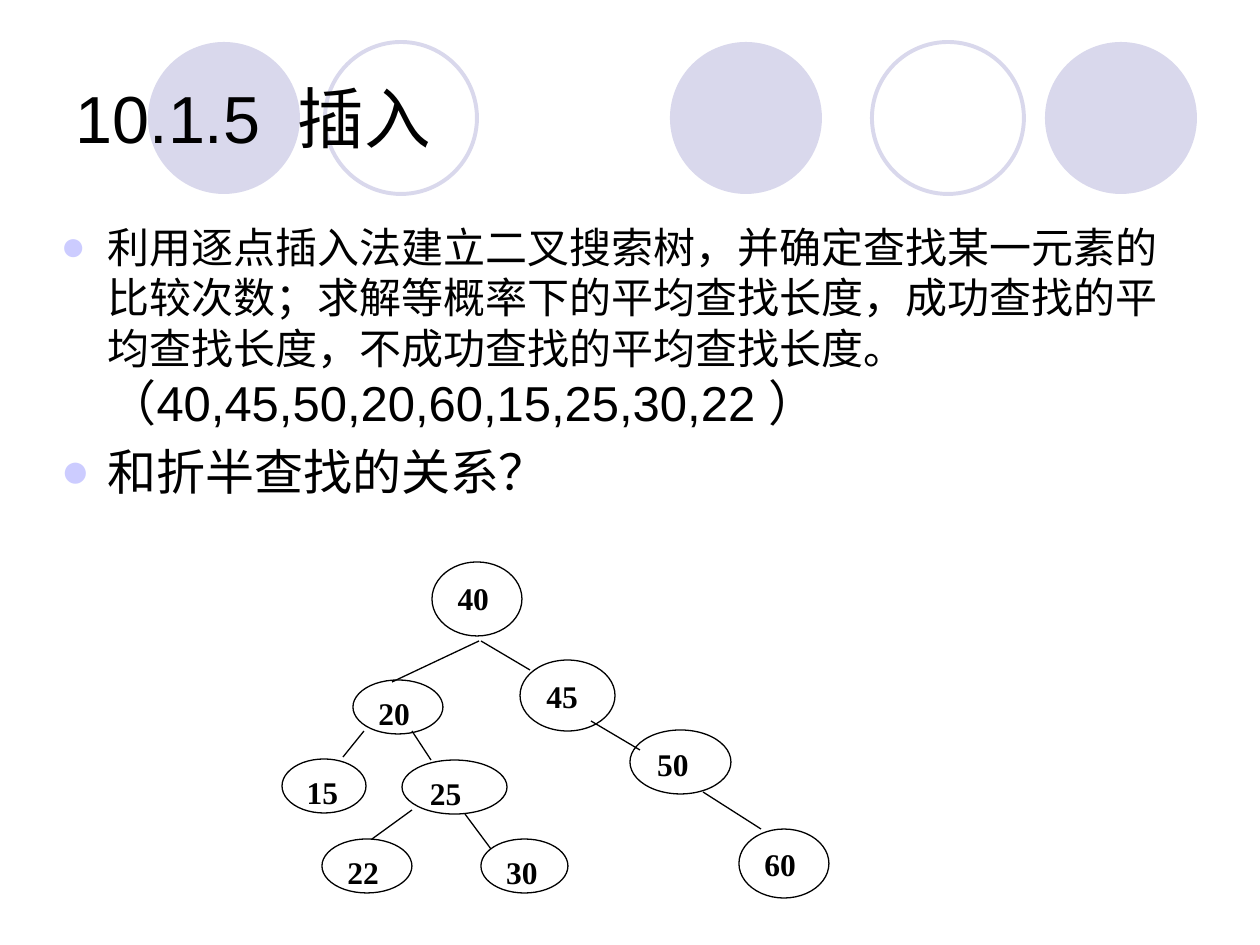
import dataclasses

import lxml.etree
import pptx
import pptx.dml.color
import pptx.enum.lang
import pptx.enum.shapes
import pptx.enum.text
import pptx.oxml.ns
import pptx.util

PX_PER_INCH = 126
Oval = pptx.enum.shapes.MSO_SHAPE.OVAL
Anchor = pptx.enum.text.MSO_ANCHOR


@dataclasses.dataclass(frozen=True)
class Theme:
    ink: str = "000000"
    paper: str = "FFFFFF"
    circle: str = "D9D8EC"
    bullet: str = "CCCCFF"
    sans: str = "Arial"
    serif: str = "Times New Roman"
    title: int = 38
    small_body: int = 24
    body: int = 28
    node: int = 18
    thin: float = 0.75
    ring: float = 2.25


THEME = Theme()

CIRCLE_SIZE = 152
FILLED_CIRCLES = (107, 629, 1004)
RING_CIRCLES = (284, 831)

TITLE = "10.1.5  插入"
BODY = (
    (
        ("利用逐点插入法建立二叉搜索树，并确定查找某一元素的比较次数；"
         "求解等概率下的平均查找长度，成功查找的平均查找长度，"
         "不成功查找的平均查找长度。", THEME.small_body),
        ("（40,45,50,20,60,15,25,30,22 ）", THEME.body),
    ),
    (("和折半查找的关系？", THEME.body),),
)

# key: left, top, width, height within the tree box
NODES = {
    40: (150, 0, 90, 74),
    20: (71, 118, 90, 54),
    45: (238, 98, 95, 71),
    15: (0, 197, 84, 54),
    25: (120, 198, 105, 54),
    50: (348, 168, 101, 64),
    22: (40, 277, 90, 54),
    30: (199, 277, 87, 54),
    60: (457, 267, 90, 69),
}
# (parent, child): start x, start y, end x, end y within the tree box
EDGES = {
    (40, 20): (197, 79, 110, 120),
    (40, 45): (199, 79, 248, 108),
    (20, 15): (82, 169, 61, 195),
    (20, 25): (130, 169, 149, 198),
    (45, 50): (309, 159, 358, 188),
    (25, 22): (130, 248, 90, 277),
    (25, 30): (183, 252, 209, 287),
    (50, 60): (421, 230, 479, 267),
}


def px(*lengths):
    return [round(length * 914400 / PX_PER_INCH) for length in lengths]


def rgb(value):
    return pptx.dml.color.RGBColor.from_string(value)


def set_values(target, values):
    for name, value in values.items():
        setattr(target, name, value)


def add_span(para, text, size, font, bold=False):
    span = para.add_run()
    span.text = text
    set_values(span.font, {
        "name": font,
        "size": pptx.util.Pt(size),
        "bold": bold,
        "language_id": pptx.enum.lang.MSO_LANGUAGE_ID.SIMPLIFIED_CHINESE,
    })
    span.font.color.rgb = rgb(THEME.ink)


def add_oval(page, box, fill=None, line=None, width=THEME.thin):
    oval = page.shapes.add_shape(Oval, *px(*box))
    oval.shadow.inherit = False
    if fill:
        oval.fill.solid()
        oval.fill.fore_color.rgb = rgb(fill)
    else:
        oval.fill.background()
    if line:
        oval.line.color.rgb = rgb(line)
        oval.line.width = pptx.util.Pt(width)
    else:
        oval.line.fill.background()
    return oval


def add_circles(page, left, top):
    for x in FILLED_CIRCLES:
        add_oval(page, (left + x, top, CIRCLE_SIZE, CIRCLE_SIZE), fill=THEME.circle)
    for x in RING_CIRCLES:
        add_oval(page, (left + x, top, CIRCLE_SIZE, CIRCLE_SIZE),
                 line=THEME.circle, width=THEME.ring)


def place_placeholder(holder, box, anchor):
    """Move a placeholder to the box and in front of everything drawn so far."""
    set_values(holder, dict(zip(("left", "top", "width", "height"), px(*box))))
    set_values(holder.text_frame, {
        "word_wrap": True,
        "auto_size": pptx.enum.text.MSO_AUTO_SIZE.NONE,
        "vertical_anchor": anchor,
    })
    holder.element.getparent().append(holder.element)
    return holder.text_frame


def fill_title(page, box):
    para = place_placeholder(page.shapes.title, box, Anchor.MIDDLE).paragraphs[0]
    para.alignment = pptx.enum.text.PP_ALIGN.LEFT
    add_span(para, TITLE, THEME.title, THEME.sans)


def add_bullet(para, indent):
    properties = para._p.get_or_add_pPr()
    properties.set("marL", str(indent))
    properties.set("indent", str(-indent))
    qn = pptx.oxml.ns.qn
    color = lxml.etree.SubElement(properties, qn("a:buClr"))
    lxml.etree.SubElement(color, qn("a:srgbClr"), val=THEME.bullet)
    lxml.etree.SubElement(properties, qn("a:buFont"), typeface=THEME.sans)
    lxml.etree.SubElement(properties, qn("a:buChar"), char="●")


def fill_body(page, box):
    frame = place_placeholder(page.placeholders[1], box, Anchor.TOP)
    for index, spans in enumerate(BODY):
        para = frame.add_paragraph() if index else frame.paragraphs[0]
        add_bullet(para, *px(47))
        for text, size in spans:
            add_span(para, text, size, THEME.sans)


def add_edge(page, ends):
    edge = page.shapes.add_connector(
        pptx.enum.shapes.MSO_CONNECTOR.STRAIGHT, *px(*ends))
    edge.line.color.rgb = rgb(THEME.ink)
    edge.line.width = pptx.util.Pt(THEME.thin)
    lxml.etree.SubElement(edge.element.spPr, pptx.oxml.ns.qn("a:effectLst"))


def add_tree(page, left, top):
    for key, (x, y, width, height) in NODES.items():
        node = add_oval(page, (left + x, top + y, width, height),
                        fill=THEME.paper, line=THEME.ink)
        set_values(node.text_frame, {"word_wrap": True, "vertical_anchor": Anchor.TOP})
        para = node.text_frame.paragraphs[0]
        para.alignment = pptx.enum.text.PP_ALIGN.LEFT
        add_span(para, str(key), THEME.node, THEME.serif, bold=True)
    for x1, y1, x2, y2 in EDGES.values():
        add_edge(page, (left + x1, top + y1, left + x2, top + y2))


def main():
    deck = pptx.Presentation()
    deck.slide_width, deck.slide_height = px(1260, 945)
    page = deck.slides.add_slide(deck.slide_layouts[1])
    add_circles(page, left=41, top=42)
    fill_title(page, (63, 38, 1134, 157))
    fill_body(page, (48, 215, 1134, 624))
    add_tree(page, left=282, top=562)
    deck.save("out.pptx")


if __name__ == "__main__":
    main()
